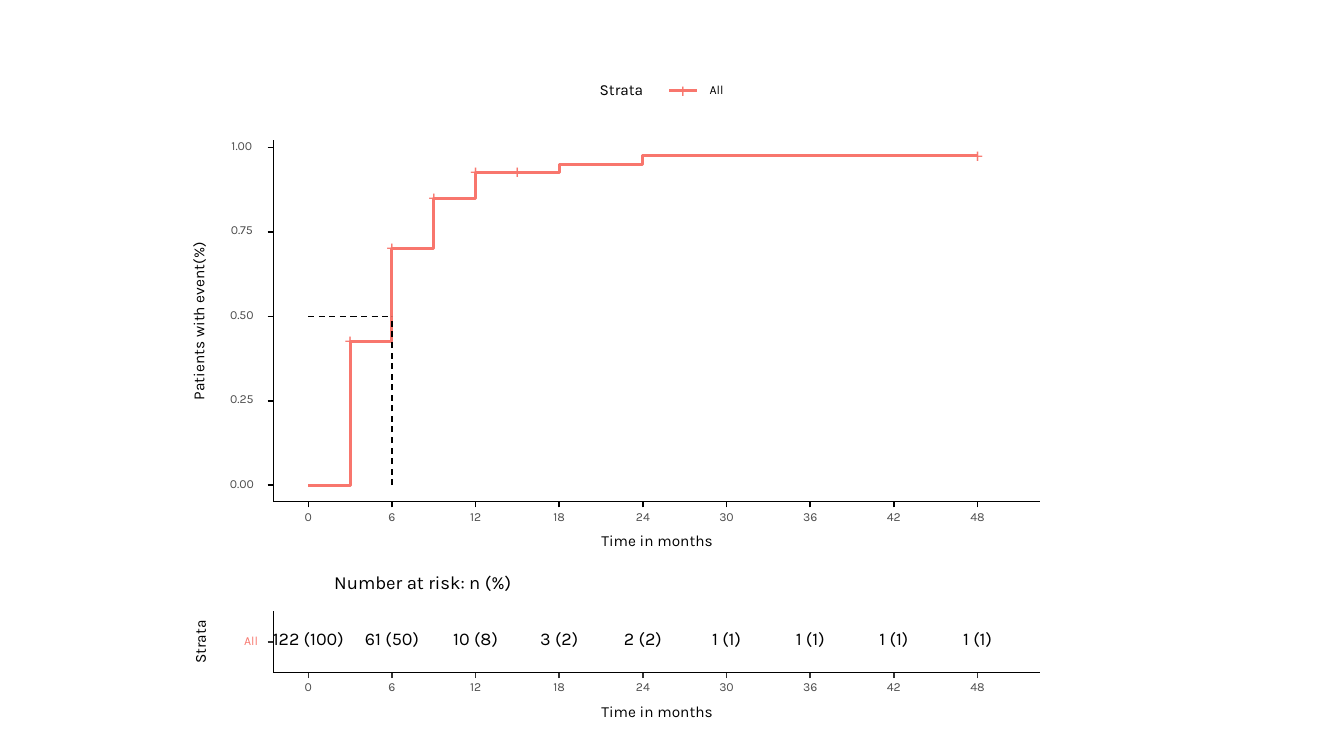
from pptx import Presentation
from pptx.dml.color import RGBColor
from pptx.enum.dml import MSO_LINE
from pptx.enum.shapes import MSO_CONNECTOR
from pptx.enum.text import MSO_ANCHOR, PP_ALIGN
from pptx.oxml.ns import qn
from pptx.util import Pt
from lxml.etree import SubElement

# Content
MONTHS = range(0, 49, 6)
SHARES = (0, 0.25, 0.5, 0.75, 1)
EVENTS = [(3, 0.425), (6, 0.7), (9, 0.85), (12, 0.925), (18, 0.95), (24, 0.975)]
CENSORED = [(3, 0.425), (6, 0.7), (9, 0.85), (12, 0.925), (15, 0.925), (48, 0.975)]
MEDIAN_MONTH, MEDIAN_SHARE = 6, 0.5
AT_RISK = ["122 (100)", "61 (50)", "10 (8)", "3 (2)", "2 (2)",
           "1 (1)", "1 (1)", "1 (1)", "1 (1)"]
TIME_TITLE, SHARE_TITLE = "Time in months", "Patients with event(%)"
RISK_TITLE, STRATA_TITLE, STRATUM = "Number at risk: n (%)", "Strata", "All"

# Style and layout, in points
FONT = "Karla"
CORAL, BLACK, GREY, DARK = "F8766D", "000000", "4D4D4D", "333333"
THIN, THICK = 1.07, 2.13
SMALL, TITLE, MARK, RISK, HEADING = 8.8, 11, 13.7, 12.8, 13.2
AXIS_LEFT, AXIS_RIGHT = 195.2, 743
CURVE_TOP, CURVE_BOTTOM = 99.7, 358.4
RISK_TOP, RISK_BOTTOM, RISK_ROW = 436.5, 480.4, 458.6
TICK = 4
TIME_CENTER = 469.4
LEGEND_Y = 64.6

prs = Presentation()
prs.slide_width, prs.slide_height = Pt(960), Pt(540)
shapes = prs.slides.add_slide(prs.slide_layouts[6]).shapes


def color(hex_code):
    return RGBColor.from_string(hex_code)


def month_x(month):
    return 220.2 + month * 9.96


def share_y(share):
    return 346.6 - share * 241.3


def add_text(text, x, y, width, size=SMALL, ink=BLACK, rotation=0):
    """Place one line of text centred on (x, y)."""
    height = size * 1.2
    box = shapes.add_textbox(Pt(x - width / 2), Pt(y - height / 2), Pt(width), Pt(height))
    box.rotation = rotation
    frame = box.text_frame
    frame.word_wrap = False
    frame.vertical_anchor = MSO_ANCHOR.MIDDLE
    frame.margin_left = frame.margin_right = frame.margin_top = frame.margin_bottom = 0
    paragraph = frame.paragraphs[0]
    paragraph.alignment = PP_ALIGN.CENTER
    paragraph.line_spacing = Pt(size)
    run = paragraph.add_run()
    run.text = text
    run.font.name, run.font.size = FONT, Pt(size)
    run.font.color.rgb = color(ink)


def add_line(x1, y1, x2, y2, ink=BLACK, weight=THIN, dash=None):
    line = shapes.add_connector(MSO_CONNECTOR.STRAIGHT, Pt(x1), Pt(y1), Pt(x2), Pt(y2))
    line.line.color.rgb = color(ink)
    line.line.width = Pt(weight)
    if dash:
        line.line.dash_style = dash
    SubElement(line._element.spPr, qn("a:effectLst"))


def add_mark(x, y):
    add_text("+", x, y - 0.4, 18, size=MARK, ink=CORAL)


def add_axes(top, bottom, tick_ink):
    """Draw the two axis lines, the month ticks and the time title."""
    add_line(AXIS_LEFT, bottom, AXIS_LEFT, top)
    add_line(AXIS_LEFT, bottom, AXIS_RIGHT, bottom)
    for month in MONTHS:
        x = month_x(month)
        add_line(x, bottom + TICK, x, bottom, ink=tick_ink)
        add_text(str(month), x, bottom + 11.2, 17, ink=GREY)
    add_text(TIME_TITLE, TIME_CENTER, bottom + 28.5, 131, size=TITLE)


# Event curve
steps, level = [], 0
for month, share in EVENTS:
    steps += [(month, level), (month, share)]
    level = share
steps.append((MONTHS[-1], level))
builder = shapes.build_freeform(Pt(month_x(0)), Pt(share_y(0)))
builder.add_line_segments([(Pt(month_x(m)), Pt(share_y(s))) for m, s in steps], close=False)
curve = builder.convert_to_shape()
curve.shadow.inherit = False
curve.fill.background()
curve.line.color.rgb = color(CORAL)
curve.line.width = Pt(THICK)
for month, share in CENSORED:
    add_mark(month_x(month), share_y(share))

# Median guides
median_x, median_y = month_x(MEDIAN_MONTH), share_y(MEDIAN_SHARE)
add_line(month_x(0), median_y, median_x, median_y, dash=MSO_LINE.DASH)
add_line(median_x, share_y(0), median_x, median_y, dash=MSO_LINE.DASH)

# Curve axes
add_axes(CURVE_TOP, CURVE_BOTTOM, BLACK)
for share in SHARES:
    y = share_y(share)
    add_line(AXIS_LEFT - TICK, y, AXIS_LEFT, y)
    add_text(f"{share:.2f}", 172.8, y - 0.5, 30, ink=GREY)
add_text(SHARE_TITLE, 142.6, 229.3, 178, size=TITLE, rotation=270)

# Legend
add_text(STRATA_TITLE, 443.9, LEGEND_Y, 51, size=TITLE)
add_line(478, LEGEND_Y, 497.6, LEGEND_Y, ink=CORAL, weight=THICK)
add_mark(487.8, LEGEND_Y + 0.5)
add_text(STRATUM, 511.9, LEGEND_Y, 17)

# Number at risk
add_text(RISK_TITLE, 302, 417.2, 214, size=HEADING)
for month, count in zip(MONTHS, AT_RISK):
    add_text(count, month_x(month), RISK_ROW - 1.7, 10.8 * len(count), size=RISK)
add_axes(RISK_TOP, RISK_BOTTOM, DARK)
add_line(AXIS_LEFT - TICK, RISK_ROW, AXIS_LEFT, RISK_ROW, ink=DARK)
add_text(STRATUM, 179.4, RISK_ROW, 17, ink=CORAL)
add_text(STRATA_TITLE, 143.8, 458.6, 48, size=TITLE, rotation=270)

prs.save("out.pptx")
